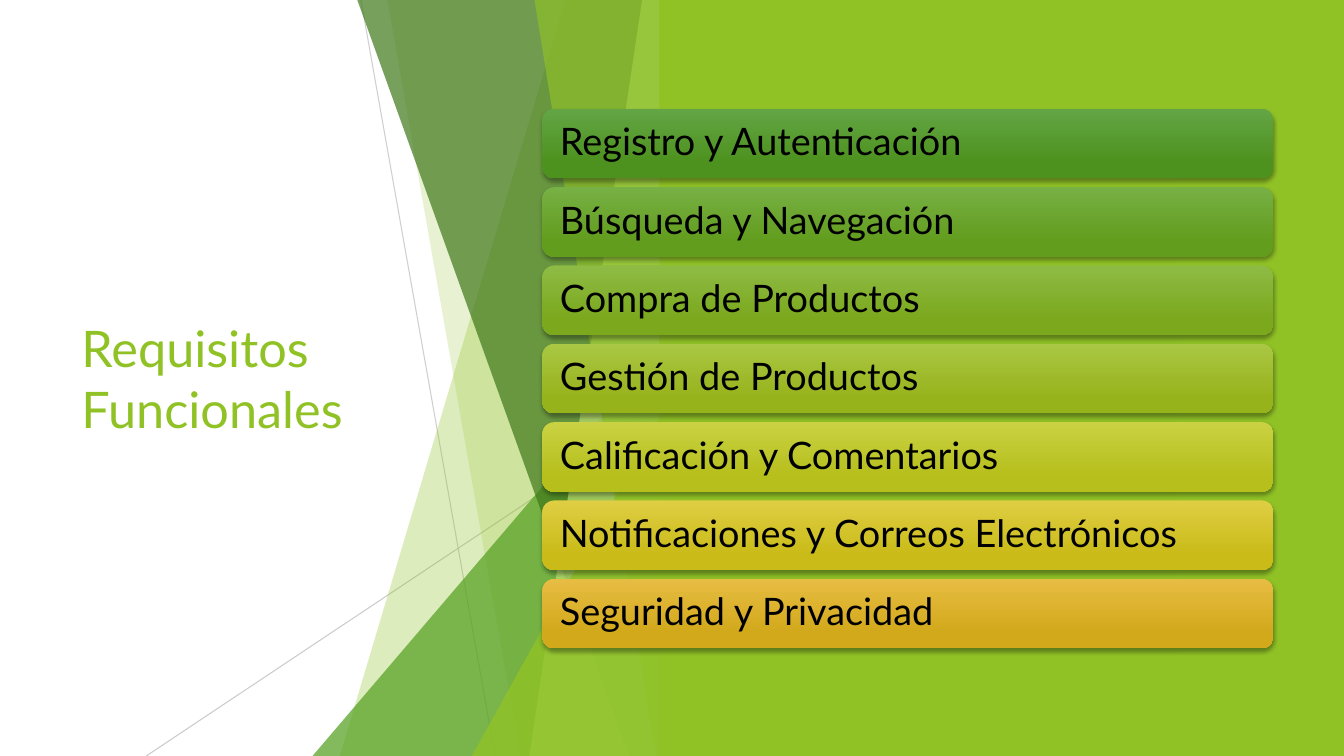
from dataclasses import dataclass

from lxml import etree
from pptx import Presentation
from pptx.dml.color import RGBColor
from pptx.enum.shapes import MSO_CONNECTOR, MSO_SHAPE
from pptx.enum.text import MSO_ANCHOR, PP_ALIGN
from pptx.oxml.ns import qn
from pptx.util import Inches, Pt

STRAIGHT = MSO_CONNECTOR.STRAIGHT
RECTANGLE = MSO_SHAPE.RECTANGLE
ROUNDED = MSO_SHAPE.ROUNDED_RECTANGLE
TRIANGLE = MSO_SHAPE.ISOSCELES_TRIANGLE
MIDDLE = MSO_ANCHOR.MIDDLE
LEFT = PP_ALIGN.LEFT
BLANK_LAYOUT = 6


@dataclass(frozen=True)
class Theme:
    font: str = "Lato"
    title_size: int = 36
    bar_size: int = 27
    lime: str = "90C226"
    green: str = "54A021"
    dark_green: str = "3F7819"
    pale_lime: str = "C0E474"
    grey: str = "BFBFBF"
    text: str = "000000"
    shadow: str = "000000"


THEME = Theme()
SLIDE_WIDTH, SLIDE_HEIGHT = 13.33, 7.5
FACET_TOP, FACET_RIGHT = -0.01, 6.66
BAR_LEFT, BAR_TOP, BAR_WIDTH, BAR_HEIGHT = 5.38, 1.08, 7.25, 0.69
BAR_PITCH = 0.777

# Label, upper colour and lower colour of each bar
REQUIREMENTS = [
    ("Registro y Autenticación", "63A545", "4D921E"),
    ("Búsqueda y Navegación", "77B044", "629D1E"),
    ("Compra de Productos", "8EBB44", "7BA81D"),
    ("Gestión de Productos", "AAC744", "97B31C"),
    ("Calificación y Comentarios", "CAD243", "B6BF1B"),
    ("Notificaciones y Correos Electrónicos", "DFCE43", "CABB19"),
    ("Seguridad y Privacidad", "E7BC43", "D2A91B"),
]


def set_opacity(shape, percent):
    for color in shape._element.spPr.iter(qn("a:srgbClr")):
        etree.SubElement(color, qn("a:alpha"), val=str(percent * 1000))


def paint(shape, color, opacity=100):
    shape.shadow.inherit = False
    shape.line.fill.background()
    shape.fill.solid()
    shape.fill.fore_color.rgb = RGBColor.from_string(color)
    if opacity < 100:
        set_opacity(shape, opacity)


def add_line(slide, start, end, opacity):
    line = slide.shapes.add_connector(STRAIGHT, *map(Inches, start + end))
    line.line.color.rgb = RGBColor.from_string(THEME.grey)
    line.line.width = Pt(0.75)
    set_opacity(line, opacity)
    etree.SubElement(line._element.spPr, qn("a:effectLst"))


def add_facet(slide, top_left, bottom_left, color, opacity):
    """Draw a four-sided panel whose left edge slopes between two x values."""
    points = [
        (Inches(x), Inches(y))
        for x, y in [
            (top_left, FACET_TOP),
            (FACET_RIGHT, FACET_TOP),
            (FACET_RIGHT, SLIDE_HEIGHT),
            (bottom_left, SLIDE_HEIGHT),
        ]
    ]
    builder = slide.shapes.build_freeform(*points[0])
    builder.add_line_segments(points[1:], close=True)
    paint(builder.convert_to_shape(), color, opacity)


def add_corner(slide, left, top, color, opacity):
    """Draw a right triangle that rises to the right edge of the facets."""
    triangle = slide.shapes.add_shape(
        TRIANGLE, Inches(left), Inches(top),
        Inches(FACET_RIGHT - left), Inches(SLIDE_HEIGHT - top))
    triangle.adjustments[0] = 1
    paint(triangle, color, opacity)


def write_text(shape, text, size, color, inset=0.1, spacing=1.0):
    frame = shape.text_frame
    frame.word_wrap = True
    frame.vertical_anchor = MIDDLE
    frame.margin_left = frame.margin_right = Inches(inset)
    paragraph = frame.paragraphs[0]
    paragraph.alignment = LEFT
    paragraph.line_spacing = spacing
    run = paragraph.add_run()
    run.text = text
    run.font.name = THEME.font
    run.font.size = Pt(size)
    run.font.color.rgb = RGBColor.from_string(color)


def add_soft_shadow(shape):
    shape.shadow.inherit = False
    effects = shape._element.spPr.find(qn("a:effectLst"))
    shadow = etree.SubElement(
        effects, qn("a:outerShdw"), blurRad=str(Pt(3)), dist=str(Pt(2)),
        dir="5400000", algn="ctr", rotWithShape="0")
    color = etree.SubElement(shadow, qn("a:srgbClr"), val=THEME.shadow)
    etree.SubElement(color, qn("a:alpha"), val="35000")


def add_bar(slide, index, label, upper, lower):
    bar = slide.shapes.add_shape(
        ROUNDED, Inches(BAR_LEFT), Inches(BAR_TOP + index * BAR_PITCH),
        Inches(BAR_WIDTH), Inches(BAR_HEIGHT))
    bar.line.fill.background()
    bar.fill.gradient()
    bar.fill.gradient_angle = 270
    stops = zip(bar.fill.gradient_stops, (0, 0.78), (upper, lower))
    for stop, position, color in stops:
        stop.position = position
        stop.color.rgb = RGBColor.from_string(color)
    add_soft_shadow(bar)
    write_text(bar, label, THEME.bar_size, THEME.text, inset=0.14, spacing=0.9)


def add_backdrop(slide):
    add_line(slide, (3.58, 0), (4.91, SLIDE_HEIGHT), 75)
    add_line(slide, (FACET_RIGHT, 4.03), (1.45, SLIDE_HEIGHT), 80)
    add_facet(slide, 5.61, 3.37, THEME.lime, 30)
    add_facet(slide, 3.84, 5.16, THEME.lime, 20)
    add_corner(slide, 3.1, 3.33, THEME.green, 72)
    add_facet(slide, 3.54, 6.24, THEME.dark_green, 70)
    add_facet(slide, 6.37, 5.25, THEME.pale_lime, 70)
    add_facet(slide, 5.3, 6.51, THEME.lime, 65)
    add_corner(slide, 4.68, 3.93, THEME.lime, 80)
    panel = slide.shapes.add_shape(
        RECTANGLE, Inches(6.54), 0,
        Inches(SLIDE_WIDTH - 6.54), Inches(SLIDE_HEIGHT))
    paint(panel, THEME.lime)


def main():
    presentation = Presentation()
    presentation.slide_width = Inches(SLIDE_WIDTH)
    presentation.slide_height = Inches(SLIDE_HEIGHT)
    slide = presentation.slides.add_slide(
        presentation.slide_layouts[BLANK_LAYOUT])

    # Title
    title = slide.shapes.add_textbox(
        Inches(0.71), Inches(1.51), Inches(3.88), Inches(4.48))
    write_text(title, "Requisitos Funcionales", THEME.title_size, THEME.lime)

    # Faceted backdrop
    add_backdrop(slide)

    # Requirement bars
    for index, requirement in enumerate(REQUIREMENTS):
        add_bar(slide, index, *requirement)

    presentation.save("out.pptx")


if __name__ == "__main__":
    main()
